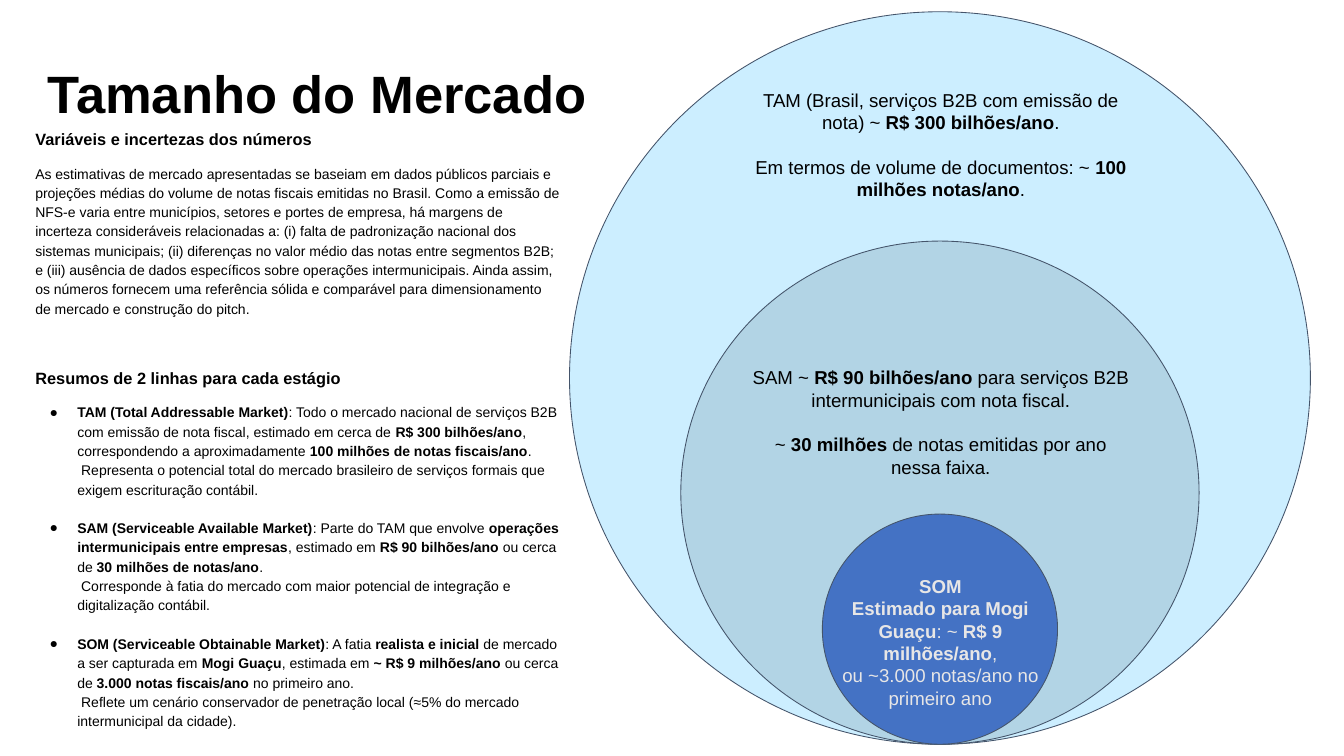
from copy import deepcopy

from lxml.etree import SubElement
from pptx import Presentation
from pptx.dml.color import RGBColor
from pptx.enum.shapes import MSO_SHAPE
from pptx.enum.text import MSO_ANCHOR, MSO_AUTO_SIZE, PP_ALIGN
from pptx.oxml.ns import qn
from pptx.util import Inches, Pt

COLORS = {
    "text": "000000",
    "light": "E7E6E6",
    "line": "44546A",
    "tam": "CCEEFF",
    "sam": "B2D4E5",
    "som": "4472C4",
}
FONT = "Arial"
MID_X, BASE_Y = 11.19, 8.86  # the circles share their middle and their base

# name, width, height
CIRCLES = [("tam", 8.82, 8.72), ("sam", 6.17, 5.99), ("som", 2.8, 2.74)]

# left, top, width, height, colour, gap between paragraphs, paragraphs
LABELS = [
    (8.79, 0.98, 4.82, 1.48, "text", 19, [
        "TAM (Brasil, serviços B2B com emissão de nota) ~ **R$ 300 bilhões/ano**.",
        "Em termos de volume de documentos: ~ **100 milhões notas/ano**.",
    ]),
    (8.82, 4.15, 4.76, 1.75, "text", 19, [
        "SAM ~ **R$ 90 bilhões/ano** para serviços B2B intermunicipais com nota fiscal.",
        "~ **30 milhões** de notas emitidas por ano nessa faixa.",
    ]),
    (9.89, 6.84, 2.61, 1.6, "light", 0, [
        "**SOM**",
        "**Estimado para Mogi Guaçu**: ~ **R$ 9 milhões/ano**,",
        "ou ~3.000 notas/ano no primeiro ano",
    ]),
]

# size, space before, bullet, text
BODY = [
    (14, 0, False, "**Variáveis e incertezas dos números**"),
    (12, 12, False,
     "As estimativas de mercado apresentadas se baseiam em dados públicos parciais e "
     "projeções médias do volume de notas fiscais emitidas no Brasil. Como a emissão de "
     "NFS-e varia entre municípios, setores e portes de empresa, há margens de incerteza "
     "consideráveis relacionadas a: (i) falta de padronização nacional dos sistemas "
     "municipais; (ii) diferenças no valor médio das notas entre segmentos B2B; e (iii) "
     "ausência de dados específicos sobre operações intermunicipais. Ainda assim, os "
     "números fornecem uma referência sólida e comparável para dimensionamento de mercado "
     "e construção do pitch."),
    (14, 41, False, "**Resumos de 2 linhas para cada estágio**"),
    (12, 12, True,
     "**TAM (Total Addressable Market)**: Todo o mercado nacional de serviços B2B com "
     "emissão de nota fiscal, estimado em cerca de **R$ 300 bilhões/ano**, correspondendo "
     "a aproximadamente **100 milhões de notas fiscais/ano**.\n Representa o potencial "
     "total do mercado brasileiro de serviços formais que exigem escrituração contábil."),
    (12, 16.5, True,
     "**SAM (Serviceable Available Market)**: Parte do TAM que envolve **operações "
     "intermunicipais entre empresas**, estimado em **R$ 90 bilhões/ano** ou cerca de "
     "**30 milhões de notas/ano**.\n Corresponde à fatia do mercado com maior potencial "
     "de integração e digitalização contábil."),
    (12, 16.5, True,
     "**SOM (Serviceable Obtainable Market)**: A fatia **realista e inicial** de mercado a "
     "ser capturada em **Mogi Guaçu**, estimada em **~ R$ 9 milhões/ano** ou cerca de "
     "**3.000 notas fiscais/ano** no primeiro ano.\n Reflete um cenário conservador de "
     "penetração local (≈5% do mercado intermunicipal da cidade)."),
]


def rgb(name):
    return RGBColor.from_string(COLORS[name])


def place(shape, left, top, width, height):
    shape.left, shape.top = Inches(left), Inches(top)
    shape.width, shape.height = Inches(width), Inches(height)


def set_frame(frame, inset, anchor):
    frame.word_wrap = True
    frame.auto_size = MSO_AUTO_SIZE.NONE
    frame.vertical_anchor = anchor
    frame.margin_left = frame.margin_right = Inches(inset)
    frame.margin_top = frame.margin_bottom = Inches(inset)


def style(run, size, color, bold):
    font = run.font
    font.name, font.size, font.bold = FONT, Pt(size), bold
    font.color.rgb = rgb(color)


def write(para, text, size, color="text"):
    """Fill a paragraph; ** switches bold on and off, a newline breaks the line."""
    for part, chunk in enumerate(text.split("**")):
        for row, words in enumerate(chunk.split("\n")):
            if row:
                para.add_line_break()
                para._p[-1].append(deepcopy(para.runs[-1].font._rPr))
            if words:
                run = para.add_run()
                run.text = words
                style(run, size, color, part % 2 == 1)


def get_para(frame, index):
    return frame.add_paragraph() if index else frame.paragraphs[0]


def set_bullet(para, shown):
    props = para._p.get_or_add_pPr()
    props.set("marL", str(Inches(0.5 if shown else 0)))
    props.set("indent", str(Inches(-0.33 if shown else 0)))
    if shown:
        tint = SubElement(props, qn("a:buClr"))
        SubElement(tint, qn("a:srgbClr"), val=COLORS["text"])
        SubElement(props, qn("a:buFont"), typeface=FONT)
        SubElement(props, qn("a:buChar"), char="●")
    else:
        SubElement(props, qn("a:buNone"))


def fill_title(title):
    place(title, 0.57, 0.53, 7.29, 0.87)
    frame = title.text_frame
    frame.text = "Tamanho do Mercado"
    set_frame(frame, 0, MSO_ANCHOR.TOP)
    para = frame.paragraphs[0]
    para.alignment = PP_ALIGN.LEFT
    para.line_spacing = 1.26
    style(para.runs[0], 45, "text", True)


def fill_body(body):
    place(body, 0.32, 1.4, 6.46, 7.44)
    frame = body.text_frame
    set_frame(frame, 0.1, MSO_ANCHOR.TOP)
    for index, (size, gap, bullet, text) in enumerate(BODY):
        para = get_para(frame, index)
        set_bullet(para, bullet)
        para.line_spacing = 1.15
        para.space_before = Pt(gap)
        write(para, text, size)


def add_circle(slide, name, width, height):
    shape = slide.shapes.add_shape(
        MSO_SHAPE.OVAL, Inches(MID_X - width / 2), Inches(BASE_Y - height),
        Inches(width), Inches(height))
    shape.shadow.inherit = False
    shape.fill.solid()
    shape.fill.fore_color.rgb = rgb(name)
    shape.line.color.rgb = rgb("line")
    shape.line.width = Pt(0.75)


def add_label(slide, left, top, width, height, color, gap, texts):
    box = slide.shapes.add_textbox(
        Inches(left), Inches(top), Inches(width), Inches(height))
    frame = box.text_frame
    set_frame(frame, 0.1, MSO_ANCHOR.MIDDLE)
    for index, text in enumerate(texts):
        para = get_para(frame, index)
        para.alignment = PP_ALIGN.CENTER
        para.space_before = Pt(gap if index else 0)
        write(para, text, 16, color)


def main():
    deck = Presentation()
    deck.slide_width, deck.slide_height = Inches(16), Inches(9)
    slide = deck.slides.add_slide(deck.slide_layouts[1])
    fill_title(slide.shapes.title)
    fill_body(slide.placeholders[1])
    for circle in CIRCLES:
        add_circle(slide, *circle)
    for label in LABELS:
        add_label(slide, *label)
    deck.save("out.pptx")


if __name__ == "__main__":
    main()
